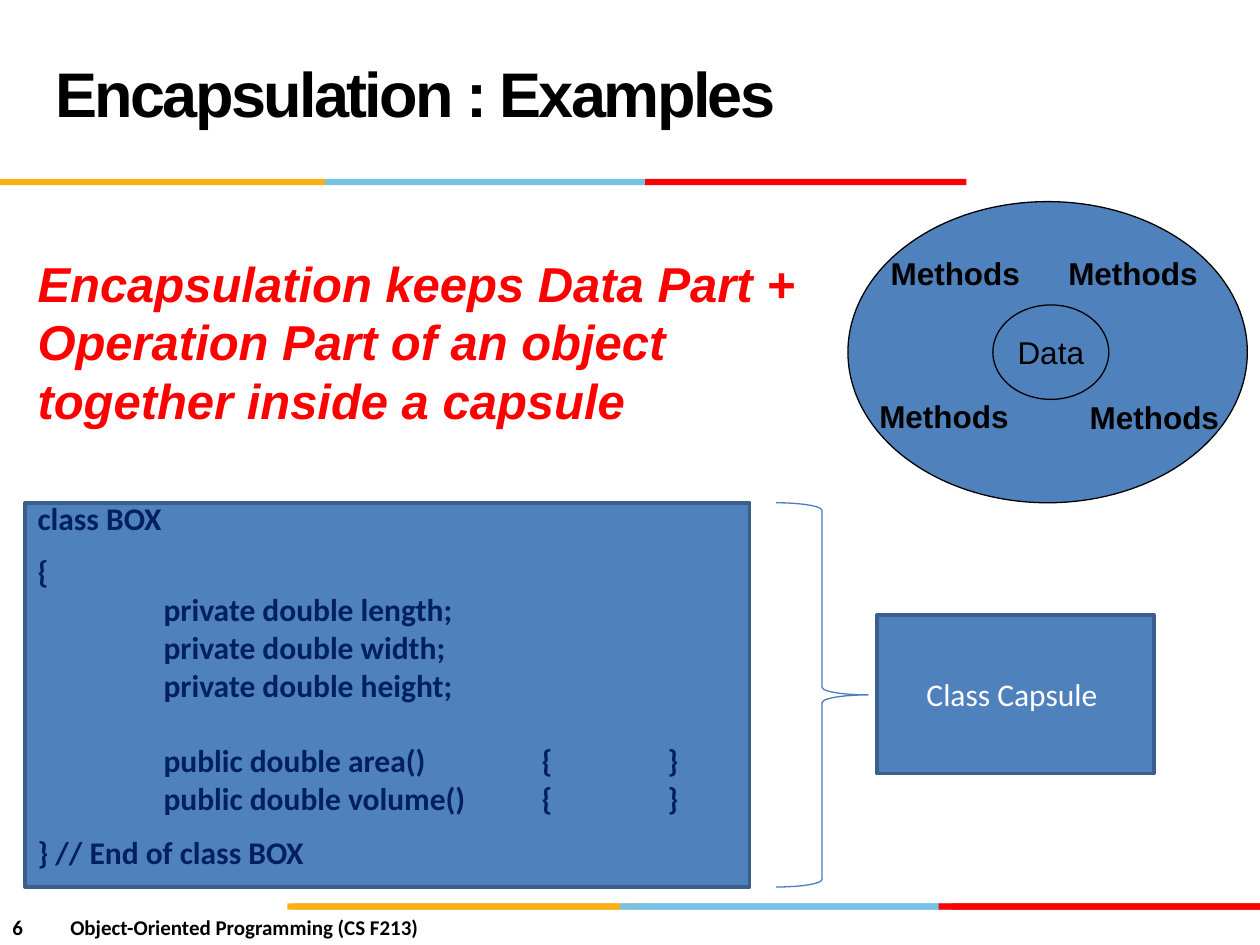
"""Builds the slide on encapsulation with a class diagram and a code box."""
import pptx
import pptx.dml.color
import pptx.enum.shapes
import pptx.enum.text
import pptx.util

Inches = pptx.util.Inches
Pt = pptx.util.Pt
Shape = pptx.enum.shapes.MSO_SHAPE
Align = pptx.enum.text.PP_ALIGN
Anchor = pptx.enum.text.MSO_ANCHOR

theme = {
    "color": {
        "black": "000000", "white": "FFFFFF", "red": "FF0000", "crimson": "E31C24",
        "gold": "FCB017", "sky": "76C2E5", "blue": "4F81BD", "edge": "3A5F8C",
        "brace": "4B7EBC", "navy": "002060",
    },
    "size": {"title": Pt(36), "statement": Pt(28), "body": Pt(18), "footer": Pt(12)},
}

deck = pptx.Presentation()
deck.slide_width, deck.slide_height = Inches(10), Inches(7.5)
page = deck.slides.add_slide(deck.slide_layouts[6])


def add_figure(kind, place, fill=None, edge=None, width=0.75):
    figure = page.shapes.add_shape(kind, *map(Inches, place))
    figure.shadow.inherit = False
    for part, name in ((figure.fill, fill), (figure.line.fill, edge)):
        if name:
            part.solid()
            part.fore_color.rgb = pptx.dml.color.RGBColor.from_string(theme["color"][name])
        else:
            part.background()
    if edge:
        figure.line.width = Pt(width)
    return figure


def write(box, lines, font, color, frame_format=None, **paragraph_format):
    frame = box.text_frame
    for key, value in {"word_wrap": True, **(frame_format or {})}.items():
        setattr(frame, key, value)
    for index, (text, space) in enumerate(lines):
        para = frame.add_paragraph() if index else frame.paragraphs[0]
        for key, value in {"space_before": Pt(space), "alignment": Align.LEFT, **paragraph_format}.items():
            setattr(para, key, value)
        span = para.add_run()
        span.text = text
        for key, value in font.items():
            setattr(span.font, key, value)
        span.font.color.rgb = pptx.dml.color.RGBColor.from_string(theme["color"][color])
    return frame


stripes = [
    (7.17, [("sky", 5.06, 2.55), ("crimson", 7.55, 2.45), ("gold", 2.28, 2.82)]),
    (7.17, [("sky", 4.92, 2.55), ("gold", 2.33, 2.58), ("red", 7.45, 2.55)]),
    (1.42, [("sky", 2.58, 2.55), ("gold", 0, 2.58), ("red", 5.12, 2.55)]),
]
for top, bands in stripes:
    for color, left, width in bands:
        add_figure(Shape.RECTANGLE, (left, top, width, 0.05), color)

arial = {"name": "Arial", "size": theme["size"]["body"]}
arial_bold = {**arial, "bold": True}
calibri = {"name": "Calibri", "size": theme["size"]["body"]}
calibri_bold = {**calibri, "bold": True}

footer = page.shapes.add_textbox(Inches(0), Inches(7.21), Inches(5), Inches(0.3))
frame = write(footer, [("6\tObject-Oriented Programming (CS F213)", 0)],
              {**calibri_bold, "size": theme["size"]["footer"]}, "black")
footer_indent = Inches(0.46)
properties = frame.paragraphs[0]._p.get_or_add_pPr()
properties.set("marL", str(footer_indent))
properties.set("indent", str(-footer_indent))

add_figure(Shape.RECTANGLE, (0.2, 3.99, 5.75, 3.05), "blue", "edge", 2)

title = page.shapes.add_textbox(Inches(0.34), Inches(0.16), Inches(6.92), Inches(1.25))
frame = write(title, [("Encapsulation : Examples", 0)],
              {**arial_bold, "size": theme["size"]["title"]}, "black",
              {"vertical_anchor": Anchor.MIDDLE}, line_spacing=Pt(36))
frame.paragraphs[0].runs[0]._r.get_or_add_rPr().set("spc", "-150")

add_figure(Shape.OVAL, (6.73, 1.6, 3.17, 2.39), "blue", "black")
data = add_figure(Shape.OVAL, (7.88, 2.42, 0.92, 0.75), "blue", "black")
write(data, [("Data", 0)], arial, "black",
      {"word_wrap": False, "vertical_anchor": Anchor.MIDDLE}, alignment=Align.CENTER)
for left, top in ((6.97, 1.97), (8.38, 1.97), (6.88, 3.1), (8.55, 3.11)):
    method = page.shapes.add_textbox(Inches(left), Inches(top), Inches(1.25), Inches(0.36))
    write(method, [("Methods", 0)], arial_bold, "black")

statement = page.shapes.add_textbox(Inches(0.2), Inches(1.96), Inches(6.26), Inches(1.51))
write(statement,
      [("Encapsulation keeps Data Part + Operation Part of an object together inside a capsule", 0)],
      {**arial_bold, "size": theme["size"]["statement"], "italic": True}, "red",
      line_spacing=Pt(33.6))

code_lines = [
    ("class BOX", 0),
    ("{", 9),
    ("\tprivate double length;", 0),
    ("\tprivate double width;", 0),
    ("\tprivate double height;", 0),
    ("\tpublic double area()\t{\t}", 21.6),
    ("\tpublic double volume()\t{\t}", 0),
    ("} // End of class BOX", 9),
]
code = page.shapes.add_textbox(Inches(0.2), Inches(3.91), Inches(5.43), Inches(3.13))
frame = write(code, code_lines, calibri_bold, "navy")
for para in frame.paragraphs:
    para._p.get_or_add_pPr().set("defTabSz", str(Inches(1)))

add_figure(Shape.RIGHT_BRACE, (6.16, 3.99, 0.73, 3.05), edge="brace")
capsule = add_figure(Shape.RECTANGLE, (6.96, 4.88, 2.2, 1.26), "blue", "edge", 2)
write(capsule, [("Class Capsule ", 0)], calibri, "white",
      {"vertical_anchor": Anchor.MIDDLE}, alignment=Align.CENTER)

deck.save("out.pptx")
